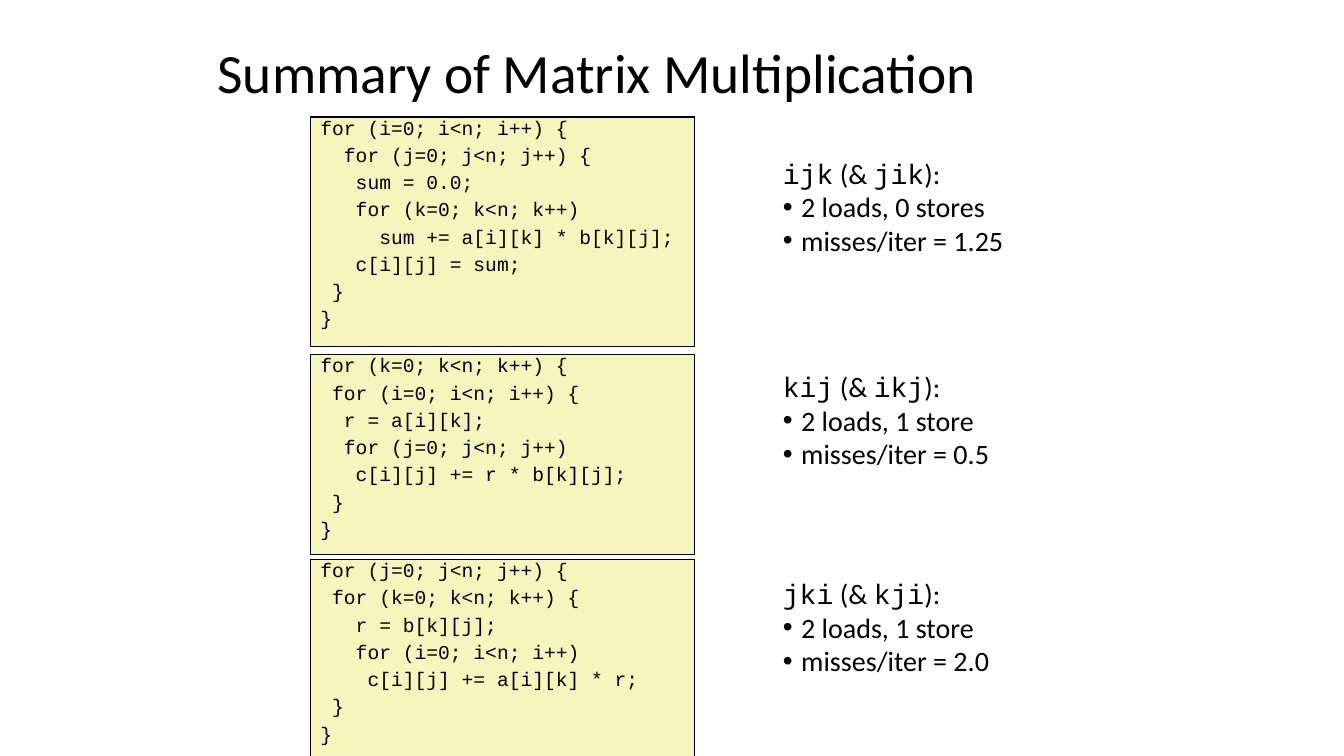
from dataclasses import dataclass

from lxml import etree
from pptx import Presentation
from pptx.dml.color import RGBColor
from pptx.enum.shapes import MSO_SHAPE
from pptx.enum.text import MSO_ANCHOR, PP_ALIGN
from pptx.oxml.ns import qn
from pptx.util import Pt

RECT = MSO_SHAPE.RECTANGLE
TOP, MIDDLE = MSO_ANCHOR.TOP, MSO_ANCHOR.MIDDLE
LEFT = PP_ALIGN.LEFT


@dataclass(frozen=True)
class Theme:
    """Colours, fonts and type sizes of the slide."""
    ink: RGBColor = RGBColor(0, 0, 0)
    code_fill: RGBColor = RGBColor(0xF6, 0xF5, 0xBD)
    body_font: str = "Calibri"
    code_font: str = "Courier New"
    title_size: float = 39.6
    note_size: float = 20
    code_size: float = 14


THEME = Theme()
CODE_LEFT, CODE_WIDTH = 221.8, 274.3
NOTE_LEFT, NOTE_WIDTH, NOTE_HEIGHT = 552.2, 183, 80

IJK_CODE = """\
for (i=0; i<n; i++) {
  for (j=0; j<n; j++) {
   sum = 0.0;
   for (k=0; k<n; k++)
     sum += a[i][k] * b[k][j];
   c[i][j] = sum;
 }
}"""
KIJ_CODE = """\
for (k=0; k<n; k++) {
 for (i=0; i<n; i++) {
  r = a[i][k];
  for (j=0; j<n; j++)
   c[i][j] += r * b[k][j];
 }
}"""
JKI_CODE = """\
for (j=0; j<n; j++) {
 for (k=0; k<n; k++) {
   r = b[k][j];
   for (i=0; i<n; i++)
    c[i][j] += a[i][k] * r;
 }
}"""

VARIANTS = [
    (83.5, 164.2, IJK_CODE, 108, ("ijk", "jik"),
     ("2 loads, 0 stores", "misses/iter = 1.25")),
    (253.4, 142.6, KIJ_CODE, 260.6, ("kij", "ikj"),
     ("2 loads, 1 store", "misses/iter = 0.5")),
    (399.6, 142.6, JKI_CODE, 408.2, ("jki", "kji"),
     ("2 loads, 1 store", "misses/iter = 2.0")),
]


def set_frame(sp, anchor):
    """Wrap the text of a shape, anchor it and return its frame."""
    tf = sp.text_frame
    tf.word_wrap = True
    tf.vertical_anchor = anchor
    return tf


def add_run(p, text, font, size):
    """Append one run in the given font and size."""
    r = p.add_run()
    r.text = text
    r.font.name = font
    r.font.size = Pt(size)
    r.font.color.rgb = THEME.ink


def add_bullet(p, indent):
    """Give a paragraph a round bullet with a hanging indent in points."""
    pPr = p._p.get_or_add_pPr()
    pPr.set("marL", str(Pt(indent)))
    pPr.set("indent", str(-Pt(indent)))
    etree.SubElement(pPr, qn("a:buFont")).set("typeface", "Arial")
    etree.SubElement(pPr, qn("a:buChar")).set("char", "•")


def add_title(s, text, x, y, w, h):
    """Place the slide title in its box."""
    sp = s.shapes.add_textbox(Pt(x), Pt(y), Pt(w), Pt(h))
    p = set_frame(sp, MIDDLE).paragraphs[0]
    p.line_spacing = 0.9
    add_run(p, text, THEME.body_font, THEME.title_size)


def add_code(s, code, x, y, w, h):
    """Place a listing in a filled, outlined box, one paragraph a line."""
    sp = s.shapes.add_shape(RECT, Pt(x), Pt(y), Pt(w), Pt(h))
    sp.shadow.inherit = False
    sp.fill.solid()
    sp.fill.fore_color.rgb = THEME.code_fill
    sp.line.color.rgb = THEME.ink
    sp.line.width = Pt(1)
    tf = set_frame(sp, TOP)
    for i, line in enumerate(code.splitlines()):
        p = tf.add_paragraph() if i else tf.paragraphs[0]
        p.alignment = LEFT
        p.line_spacing = 0.7
        if i:
            p.space_before = Pt(7.7)
        add_run(p, line, THEME.code_font, THEME.code_size)


def add_note(s, orders, facts, x, y, w, h):
    """Place the loop orders and their bulleted costs."""
    sp = s.shapes.add_textbox(Pt(x), Pt(y), Pt(w), Pt(h))
    tf = set_frame(sp, TOP)
    p = tf.paragraphs[0]
    for order, joint in zip(orders, (" (& ", "):")):
        add_run(p, order, THEME.code_font, THEME.note_size)
        add_run(p, joint, THEME.body_font, THEME.note_size)
    for fact in facts:
        p = tf.add_paragraph()
        add_bullet(p, 13)
        add_run(p, fact, THEME.body_font, THEME.note_size)


def main():
    """Build the slide and save it."""
    prs = Presentation()
    prs.slide_width, prs.slide_height = Pt(960), Pt(540)
    s = prs.slides.add_slide(prs.slide_layouts[6])
    add_title(s, "Summary of Matrix Multiplication", 148.3, 23.8, 597.6, 59.8)
    for code_top, code_height, code, note_top, orders, facts in VARIANTS:
        add_code(s, code, CODE_LEFT, code_top, CODE_WIDTH, code_height)
        add_note(s, orders, facts, NOTE_LEFT, note_top, NOTE_WIDTH, NOTE_HEIGHT)
    prs.save("out.pptx")


if __name__ == "__main__":
    main()
